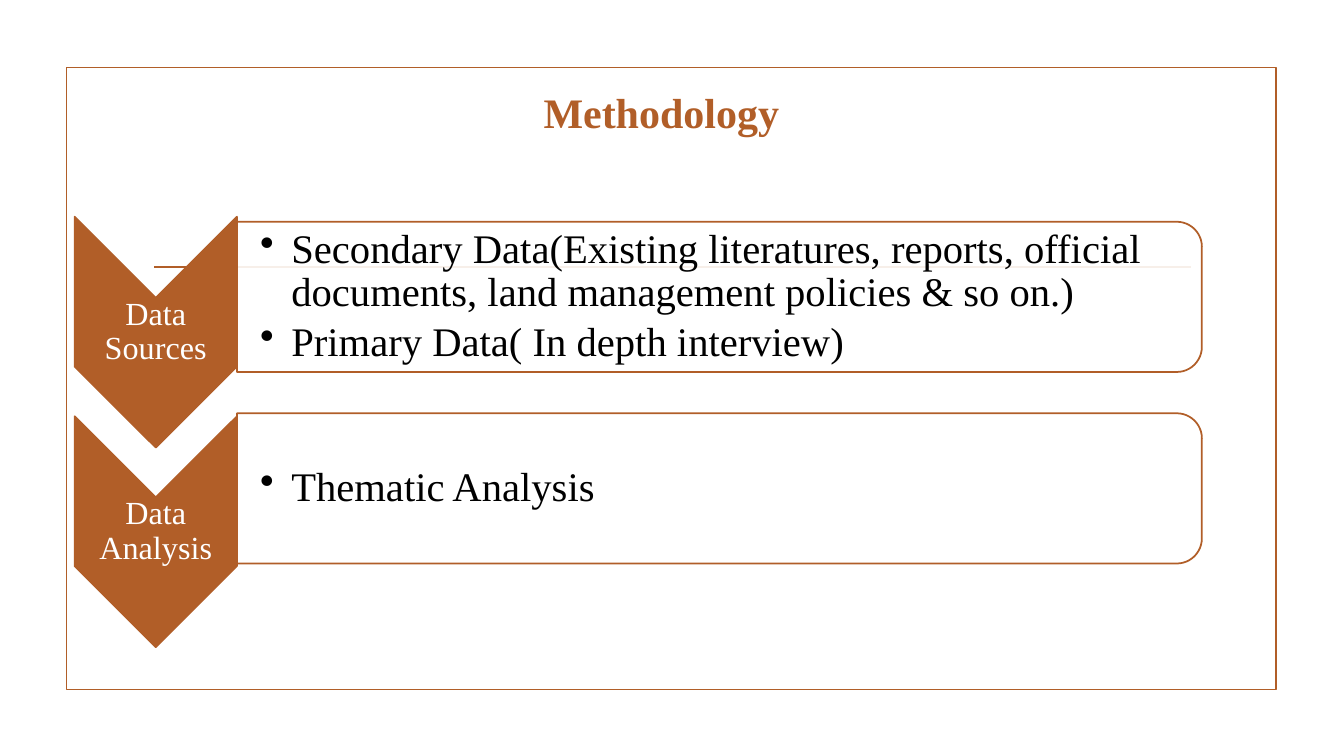
from lxml import etree
from pptx import Presentation
from pptx.dml.color import RGBColor
from pptx.enum.shapes import MSO_CONNECTOR, MSO_SHAPE
from pptx.enum.text import MSO_ANCHOR, MSO_AUTO_SIZE, PP_ALIGN
from pptx.oxml.ns import qn
from pptx.util import Inches, Pt

FONT = "Times New Roman"
RUST, WHITE, BLACK = "B15E28", "FFFFFF", "000000"

# Grid of the two steps, in inches
CHEVRON_LEFT, CHEVRON_WIDTH, CHEVRON_HEIGHT = 0.74, 1.61, 2.29
CHEVRON_TOP, CHEVRON_PITCH = 2.15, 1.98
LABEL_OFFSET, LABEL_HEIGHT = 0.8, 0.69
PANEL_LEFT, PANEL_WIDTH, PANEL_HEIGHT = 2.35, 9.57, 1.49
PANEL_TOP, PANEL_PITCH = 2.2, 1.9
PANEL_TEXT_WIDTH, PANEL_TEXT_HEIGHT = 9.5, 1.34
BULLET_INDENT = 0.31

STEPS = [
    ("Data Sources", [
        "Secondary Data(Existing literatures, reports, official documents, "
        "land management policies & so on.)",
        "Primary Data( In depth interview)",
    ]),
    ("Data Analysis", ["Thematic Analysis"]),
]


def color(value):
    return RGBColor.from_string(value)


def style_font(paragraph, size, value, bold=False):
    font = paragraph.font
    font.name, font.size, font.bold = FONT, Pt(size), bold
    font.color.rgb = color(value)


def add_outlined(slide, kind, left, top, width, height, fill=None, opacity=None):
    shape = slide.shapes.add_shape(
        kind, Inches(left), Inches(top), Inches(width), Inches(height))
    shape.shadow.inherit = False
    shape.line.color.rgb = color(RUST)
    shape.line.width = Pt(1.25)
    if fill is None:
        shape.fill.background()
    else:
        shape.fill.solid()
        shape.fill.fore_color.rgb = color(fill)
    if opacity is not None:
        fill_color = shape.element.spPr.find(qn("a:solidFill"))[0]
        etree.SubElement(fill_color, qn("a:alpha"), val=str(opacity * 1000))
    return shape


def add_turned(slide, kind, left, top, width, height, fill, opacity=None):
    """Add a shape turned a quarter clockwise that covers the given area."""
    shift = (width - height) / 2
    shape = add_outlined(slide, kind, left + shift, top - shift,
                         height, width, fill, opacity)
    shape.rotation = 90


def add_rule(slide, left, right, top):
    rule = slide.shapes.add_connector(
        MSO_CONNECTOR.STRAIGHT, Inches(left), Inches(top), Inches(right), Inches(top))
    rule.line.color.rgb = color(RUST)
    rule.line.width = Pt(1.25)
    etree.SubElement(rule.element.spPr, qn("a:effectLst"))


def add_bullet(paragraph):
    paragraph.level = 1
    properties = paragraph._p.get_or_add_pPr()
    properties.set("marL", str(Inches(BULLET_INDENT)))
    properties.set("indent", str(-Inches(BULLET_INDENT)))
    etree.SubElement(properties, qn("a:buChar"), char="•")


def add_text(slide, left, top, width, height, lines, size, value,
             space_after, inset=0.02, bulleted=False):
    box = slide.shapes.add_textbox(
        Inches(left), Inches(top), Inches(width), Inches(height))
    frame = box.text_frame
    frame.word_wrap = True
    frame.vertical_anchor = MSO_ANCHOR.MIDDLE
    frame.margin_left = Inches(inset)
    frame.margin_top = frame.margin_right = frame.margin_bottom = Inches(0.02)
    frame.text = "\n".join(lines)
    for paragraph in frame.paragraphs:
        if bulleted:
            add_bullet(paragraph)
        paragraph.alignment = PP_ALIGN.LEFT if bulleted else PP_ALIGN.CENTER
        paragraph.line_spacing = 0.9
        paragraph.space_after = Pt(space_after)
        style_font(paragraph, size, value)


def set_title(slide, text):
    title = slide.shapes.title
    title.left, title.top = Inches(1.31), Inches(0.39)
    title.width, title.height = Inches(10.5), Inches(1.43)
    frame = title.text_frame
    frame.text = text
    frame.auto_size = MSO_AUTO_SIZE.NONE
    frame.vertical_anchor = MSO_ANCHOR.MIDDLE
    paragraph = frame.paragraphs[0]
    paragraph.alignment = PP_ALIGN.CENTER
    style_font(paragraph, 30, RUST, bold=True)


def add_step(slide, row, label, lines):
    chevron_top = CHEVRON_TOP + row * CHEVRON_PITCH
    panel_top = PANEL_TOP + row * PANEL_PITCH
    # Chevron with its label
    add_turned(slide, MSO_SHAPE.CHEVRON, CHEVRON_LEFT, chevron_top,
               CHEVRON_WIDTH, CHEVRON_HEIGHT, RUST)
    add_text(slide, CHEVRON_LEFT, chevron_top + LABEL_OFFSET, CHEVRON_WIDTH,
             LABEL_HEIGHT, [label], 23, WHITE, space_after=8)
    # Panel with its bullets
    add_turned(slide, MSO_SHAPE.ROUND_2_SAME_RECTANGLE, PANEL_LEFT, panel_top,
               PANEL_WIDTH, PANEL_HEIGHT, WHITE, opacity=90)
    text_top = panel_top + (PANEL_HEIGHT - PANEL_TEXT_HEIGHT) / 2
    add_text(slide, PANEL_LEFT, text_top, PANEL_TEXT_WIDTH, PANEL_TEXT_HEIGHT,
             lines, 29, BLACK, space_after=4.35, inset=0.23, bulleted=True)


def main():
    presentation = Presentation()
    presentation.slide_width = Inches(13.33)
    presentation.slide_height = Inches(7.5)
    slide = presentation.slides.add_slide(presentation.slide_layouts[5])

    # Frame, rule and title
    add_outlined(slide, MSO_SHAPE.RECTANGLE, 0.66, 0.67, 12, 6.17)
    add_rule(slide, 1.53, 11.81, 2.65)
    set_title(slide, "Methodology")

    # Steps
    for row, (label, lines) in enumerate(STEPS):
        add_step(slide, row, label, lines)

    presentation.save("out.pptx")


if __name__ == "__main__":
    main()
